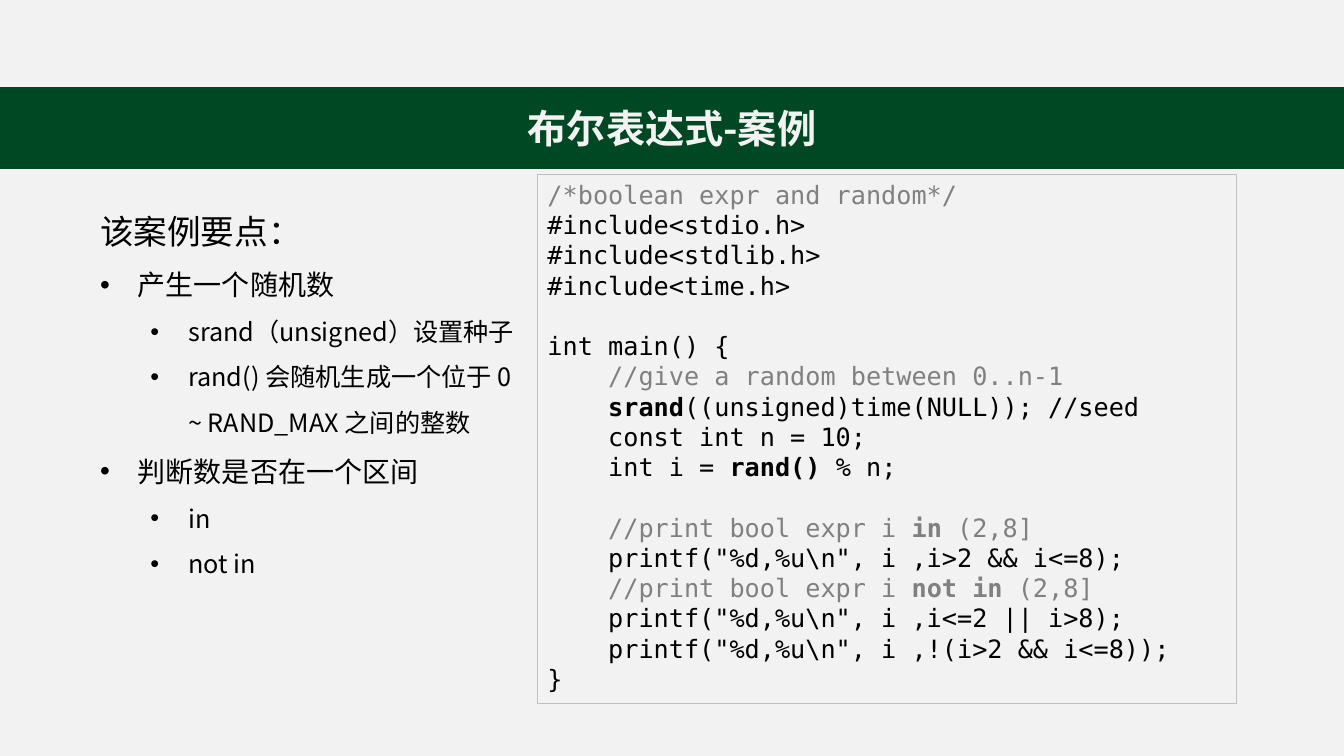
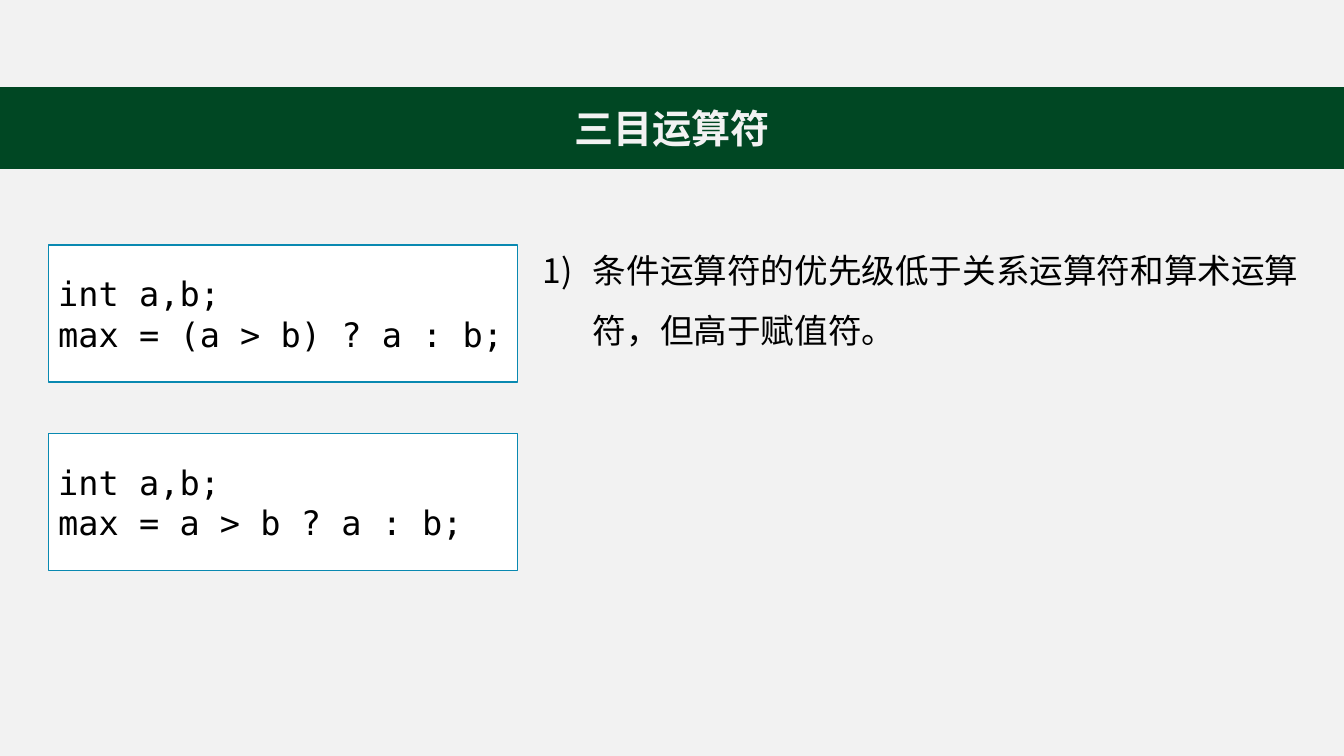
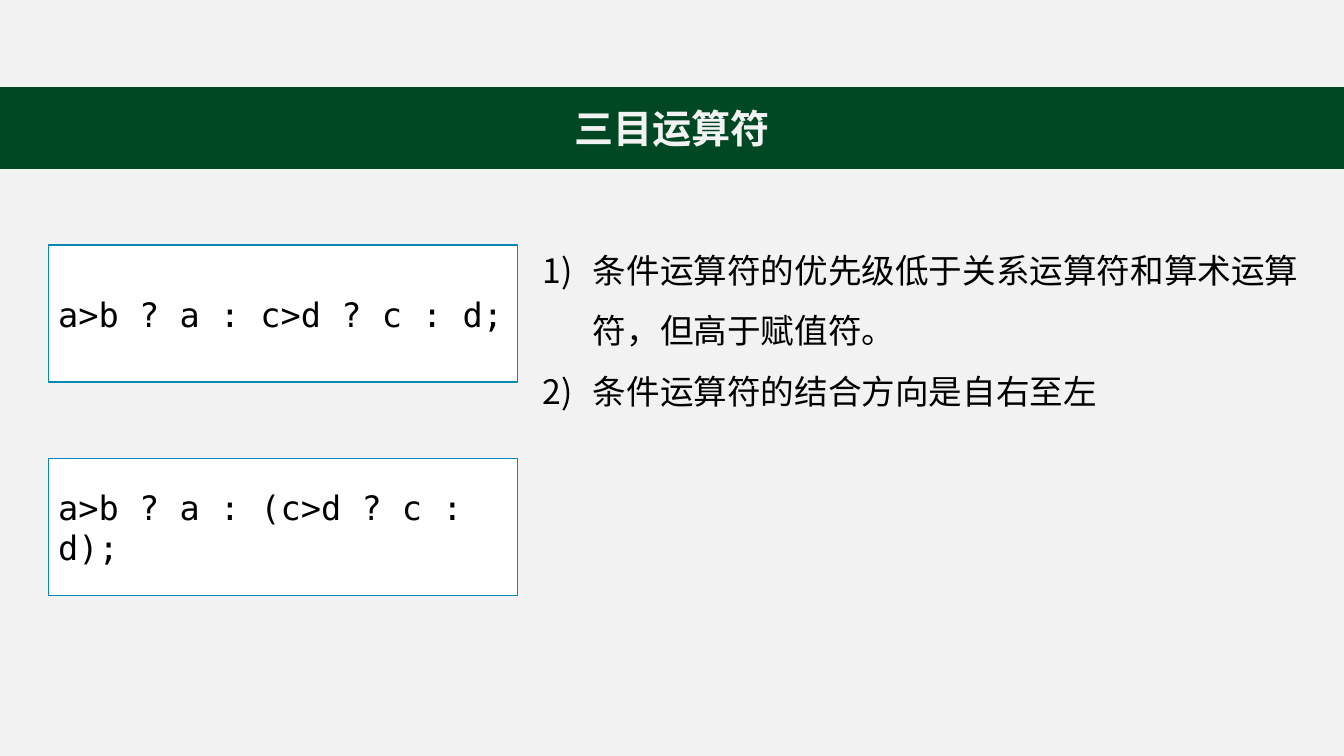
from dataclasses import dataclass
from typing import NamedTuple, Optional

from lxml import etree
from pptx import Presentation
from pptx import util as u
from pptx.dml.color import RGBColor
from pptx.enum import shapes, text
from pptx.oxml import ns

# Shared look
PX = 6350  # EMU per px, 144 px to the inch
WIDE, HIGH = 1920, 1080
SANS, MONO = "Noto Sans CJK SC", "DejaVu Sans Mono"
PAPER = RGBColor(0xF2, 0xF2, 0xF2)
GREEN = RGBColor(0x00, 0x47, 0x23)
BLACK = RGBColor(0x00, 0x00, 0x00)
WHITE = RGBColor(0xFF, 0xFF, 0xFF)
GRAY = RGBColor(0x80, 0x80, 0x80)
SILVER = RGBColor(0xBF, 0xBF, 0xBF)
BLUE = RGBColor(0x09, 0x89, 0xB1)


class Box(NamedTuple):
    left: int
    top: int
    width: int
    height: int


class Bit(NamedTuple):
    """A stretch of text within a line."""
    words: str
    bold: bool = False


@dataclass(frozen=True)
class Style:
    size: int
    face: str = SANS
    color: RGBColor = BLACK
    bold: bool = False
    align: text.PP_ALIGN = text.PP_ALIGN.LEFT
    space: float = 1.0
    level: int = 0
    indent: int = 0
    hang: int = 0
    mark: str = ""  # "•" for a bullet, or the name of a numbering scheme


@dataclass(frozen=True)
class Line:
    bits: tuple[Bit, ...]
    style: Style


@dataclass(frozen=True)
class Look:
    fill: Optional[RGBColor]
    edge: Optional[RGBColor] = None
    weight: float = 1
    anchor: text.MSO_ANCHOR = text.MSO_ANCHOR.MIDDLE


SHEET = Box(0, 0, WIDE, HIGH)
HEAD = Box(0, 0, WIDE, 125)
BAND = Box(0, 125, WIDE, 116)
PLAIN_LOOK = Look(PAPER)
BAND_LOOK = Look(GREEN, GREEN)
CARD_LOOK = Look(WHITE, BLUE)
LIST_LOOK = Look(None, SILVER, 0.75, text.MSO_ANCHOR.TOP)

TITLE = Style(28, color=PAPER, bold=True, align=text.PP_ALIGN.CENTER)
LEAD = Style(24, space=1.5)
POINT = Style(20, space=1.5, indent=54, hang=54, mark="•")
SUB = Style(18, space=1.5, level=1, indent=126, hang=54, mark="•")
RULE = Style(24, space=1.5, indent=72, hang=72, mark="arabicParenR")
CODE = Style(18, MONO)
NOTE = Style(18, MONO, GRAY)
CARD = Style(24, MONO)


def line(words: str, style: Style) -> Line:
    return Line((Bit(words),) if words else (), style)


def add_mark(para, style: Style) -> None:
    props = para._p.get_or_add_pPr()
    props.set("marL", str(style.indent * PX))
    props.set("indent", str(-style.hang * PX))
    font = etree.SubElement(props, ns.qn("a:buFont"))
    if style.mark == "•":
        font.set("typeface", "Arial")
        etree.SubElement(props, ns.qn("a:buChar")).set("char", style.mark)
    else:
        font.set("typeface", "+mj-lt")
        etree.SubElement(props, ns.qn("a:buAutoNum")).set("type", style.mark)


def write(frame, lines: list[Line]) -> None:
    frame.word_wrap = True
    for i, item in enumerate(lines):
        para = frame.paragraphs[0] if i == 0 else frame.add_paragraph()
        style = item.style
        para.alignment = style.align
        para.line_spacing = style.space
        para.level = style.level
        if style.mark:
            add_mark(para, style)
        font = para.font
        font.name, font.size = style.face, u.Pt(style.size)
        font.bold = style.bold
        font.color.rgb = style.color
        east = etree.SubElement(font._element, ns.qn("a:ea"))
        east.set("typeface", style.face)
        for bit in item.bits:
            run = para.add_run()
            run.text = bit.words
            if bit.bold:
                run.font.bold = True


def add_panel(slide, box: Box, look: Look, lines: list[Line]) -> None:
    shape = slide.shapes.add_shape(
        shapes.MSO_SHAPE.RECTANGLE, *(n * PX for n in box))
    shape.shadow.inherit = False
    if look.fill is None:
        shape.fill.background()
    else:
        shape.fill.solid()
        shape.fill.fore_color.rgb = look.fill
    if look.edge is None:
        shape.line.fill.background()
    else:
        shape.line.color.rgb = look.edge
        shape.line.width = u.Pt(look.weight)
    shape.text_frame.vertical_anchor = look.anchor
    write(shape.text_frame, lines)


def add_text(slide, box: Box, lines: list[Line]) -> None:
    frame = slide.shapes.add_textbox(*(n * PX for n in box)).text_frame
    frame.margin_left = frame.margin_right = 0
    frame.margin_top = frame.margin_bottom = 0
    write(frame, lines)


def add_slide(deck, title: str):
    slide = deck.slides.add_slide(deck.slide_layouts[6])
    for box in (SHEET, HEAD):
        add_panel(slide, box, PLAIN_LOOK, [])
    add_panel(slide, BAND, BAND_LOOK, [line(title, TITLE)])
    return slide


# Slide 1: key points beside a listing
POINTS = [
    line("该案例要点：", LEAD),
    line("产生一个随机数", POINT),
    line("srand（unsigned）设置种子", SUB),
    line("rand() 会随机生成一个位于 0 ~ RAND_MAX 之间的整数", SUB),
    line("判断数是否在一个区间", POINT),
    line("in", SUB),
    line("not in", SUB),
]


def remark(key: str) -> Line:
    return Line((Bit("    //print bool expr i "), Bit(key, True),
                 Bit(" (2,8]")), NOTE)


LISTING = [
    line("/*boolean expr and random*/", NOTE),
    line("#include<stdio.h>", CODE),
    line("#include<stdlib.h>", CODE),
    line("#include<time.h>", CODE),
    line("", CODE),
    line("int main() {", CODE),
    line("    //give a random between 0..n-1", NOTE),
    Line((Bit("    "), Bit("srand", True),
          Bit("((unsigned)time(NULL)); //seed")), CODE),
    line("    const int n = 10;", CODE),
    Line((Bit("    int i = "), Bit("rand() ", True), Bit("% n;")), CODE),
    line("", CODE),
    remark("in"),
    line('    printf("%d,%u\\n", i ,i>2 && i<=8);', CODE),
    remark("not in"),
    line('    printf("%d,%u\\n", i ,i<=2 || i>8);', CODE),
    line('    printf("%d,%u\\n", i ,!(i>2 && i<=8));', CODE),
    line("}", CODE),
]


def add_case(deck) -> None:
    slide = add_slide(deck, "布尔表达式-案例")
    add_text(slide, Box(143, 272, 615, 651), POINTS)
    add_panel(slide, Box(768, 249, 998, 756), LIST_LOOK, LISTING)


# Slides 2 and 3: two code cards beside numbered rules
RULES = [
    line("条件运算符的优先级低于关系运算符和算术运算符，但高于赋值符。", RULE),
    line("条件运算符的结合方向是自右至左", RULE),
]


@dataclass(frozen=True)
class Pair:
    cards: tuple[tuple[str, ...], tuple[str, ...]]
    pitch: int  # from the top of one card to the next
    rules: int  # how many rules are shown
    height: int


PAIRS = [
    Pair((("int a,b;", "max = (a > b) ? a : b;"),
          ("int a,b;", "max = a > b ? a : b;")), 269, 1, 164),
    Pair((("a>b ? a : c>d ? c : d;",),
          ("a>b ? a : (c>d ? c : d);",)), 305, 2, 262),
]


def add_pair(deck, pair: Pair) -> None:
    slide = add_slide(deck, "三目运算符")
    add_text(slide, Box(775, 328, 1083, pair.height), RULES[:pair.rules])
    for i, code in enumerate(pair.cards):
        add_panel(slide, Box(69, 350 + i * pair.pitch, 670, 196), CARD_LOOK,
                  [line(words, CARD) for words in code])


def main() -> None:
    deck = Presentation()
    deck.slide_width, deck.slide_height = WIDE * PX, HIGH * PX
    add_case(deck)
    for pair in PAIRS:
        add_pair(deck, pair)
    deck.save("out.pptx")


if __name__ == "__main__":
    main()
